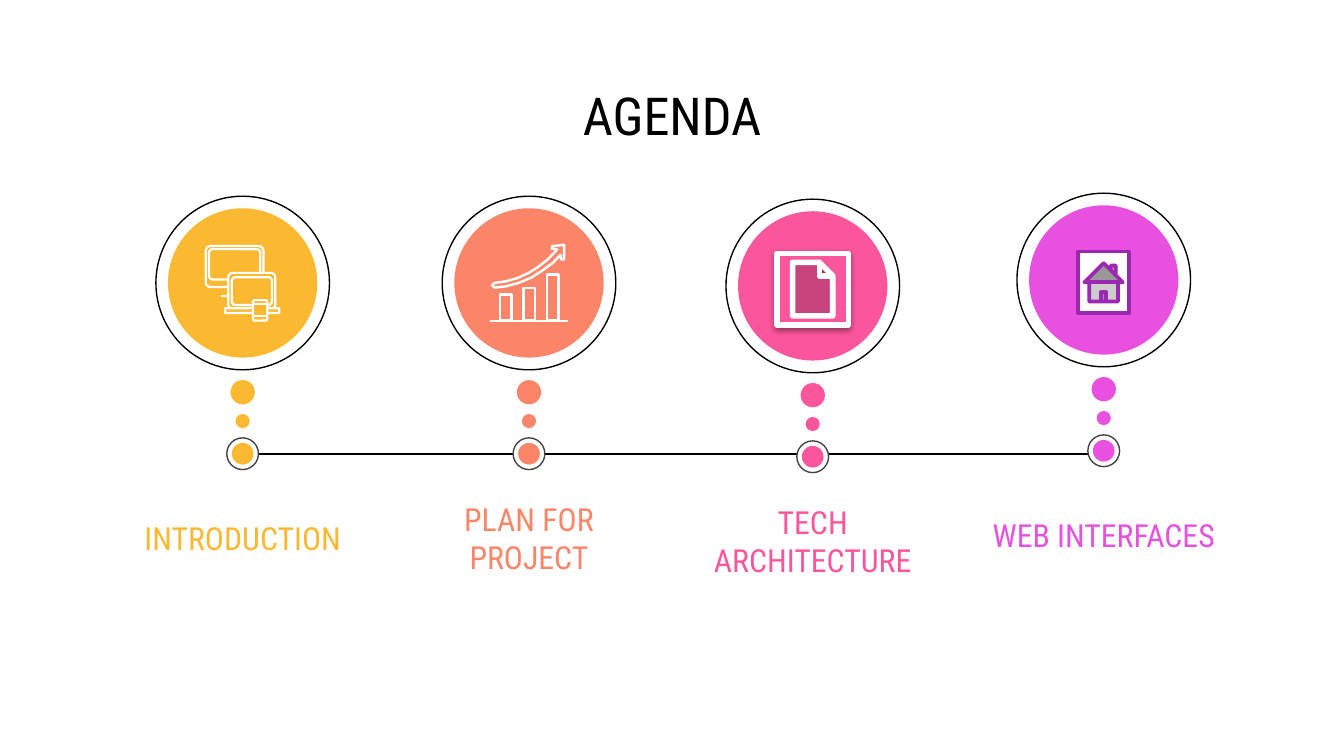
"""Build an agenda slide with four milestones along a timeline."""
from dataclasses import dataclass
from typing import Optional

from lxml.etree import SubElement
from pptx import Presentation
from pptx.dml.color import RGBColor
from pptx.enum.shapes import MSO_CONNECTOR, MSO_SHAPE
from pptx.enum.text import MSO_ANCHOR, MSO_AUTO_SIZE, PP_ALIGN
from pptx.oxml.ns import qn
from pptx.util import Pt

FONT = "Roboto Condensed"
BLACK, WHITE, GRAY = "000000", "FFFFFF", "434343"
YELLOW, CORAL, PINK, MAGENTA, PURPLE = "FBB831", "FB8569", "FB569C", "E850E0", "9C27B0"


@dataclass(frozen=True)
class Milestone:
    label: str
    color: str
    center_x: float
    center_y: float


@dataclass(frozen=True)
class Circle:
    offset_y: float
    diameter: float
    fill: Optional[str] = None
    line: Optional[str] = None
    colored: bool = True


@dataclass(frozen=True)
class Box:
    left: float
    top: float
    width: float
    height: float


MILESTONES = [
    Milestone("INTRODUCTION", YELLOW, 130, 151.6),
    Milestone("PLAN FOR PROJECT", CORAL, 283.4, 151.6),
    Milestone("TECH ARCHITECTURE", PINK, 435.4, 153.2),
    Milestone("WEB INTERFACES", MAGENTA, 591.3, 150),
]
CIRCLES = [
    Circle(0, 93, line=BLACK, colored=False),
    Circle(0, 80),
    Circle(58.5, 13),
    Circle(74, 7.6),
    Circle(91.5, 17, fill=WHITE, line=GRAY, colored=False),
    Circle(91.5, 11.6),
]
DEVICE_PARTS = [
    Box(110.2, 131.8, 31, 22),
    Box(112, 133.5, 27.5, 16.2),
    Box(122.3, 146.2, 25.2, 19.4),
    Box(124.2, 148.6, 21.5, 14.8),
    Box(120.6, 165.2, 29, 2.5),
    Box(135.6, 160.8, 7.6, 11),
]
BARS = [Box(267.8, 157.8, 6.2, 14), Box(280.4, 154.3, 6.2, 17.5), Box(293, 147, 6.2, 24.8)]
GROWTH_ARROW = [
    (265, 151.6), (271, 150.8), (277.2, 149), (283, 146.4), (288, 143.3), (293.5, 139),
    (298.5, 133.7), (295.6, 133.2), (295.9, 131.9), (302.2, 131.2), (302.2, 139),
    (300.6, 139), (300.3, 136.6), (296, 141), (290.9, 144.7), (285, 148.6),
    (277.9, 151.6), (271, 153.5), (265, 154.1), (263.5, 152.9),
]


def rgb(color: str) -> RGBColor:
    """Convert a hex string to a colour."""
    return RGBColor.from_string(color)


def style_shape(shape, fill: Optional[str], line: Optional[str], width: float) -> None:
    """Set fill and line, and remove the shadow."""
    shape.shadow.inherit = False
    if fill:
        shape.fill.solid()
        shape.fill.fore_color.rgb = rgb(fill)
    else:
        shape.fill.background()
    if line:
        shape.line.color.rgb = rgb(line)
        shape.line.width = Pt(width)
    else:
        shape.line.fill.background()


def add_shape(slide, kind: MSO_SHAPE, box: Box, fill: Optional[str] = None,
              line: Optional[str] = None, width: float = 0.75):
    """Add a styled preset shape."""
    shape = slide.shapes.add_shape(kind, Pt(box.left), Pt(box.top), Pt(box.width), Pt(box.height))
    style_shape(shape, fill, line, width)
    return shape


def add_line(slide, start_x: float, end_x: float, y: float, color: str, width: float) -> None:
    """Add a horizontal line."""
    connector = slide.shapes.add_connector(
        MSO_CONNECTOR.STRAIGHT, Pt(start_x), Pt(y), Pt(end_x), Pt(y))
    connector.line.color.rgb = rgb(color)
    connector.line.width = Pt(width)
    SubElement(connector._element.spPr, qn("a:effectLst"))


def format_text(shape, text: str, size: float, color: str) -> None:
    """Set centred text in one size and colour."""
    frame = shape.text_frame
    frame.text = text
    frame.word_wrap = True
    frame.auto_size = MSO_AUTO_SIZE.NONE
    frame.vertical_anchor = MSO_ANCHOR.MIDDLE
    frame.margin_left = frame.margin_right = Pt(7.2)
    frame.margin_top = frame.margin_bottom = Pt(7.2)
    paragraph = frame.paragraphs[0]
    paragraph.alignment = PP_ALIGN.CENTER
    font = paragraph.runs[0].font
    font.name, font.size, font.color.rgb = FONT, Pt(size), rgb(color)


def add_milestone(slide, milestone: Milestone) -> None:
    """Draw the circles and the label of a milestone."""
    for circle in CIRCLES:
        radius = circle.diameter / 2
        box = Box(milestone.center_x - radius, milestone.center_y + circle.offset_y - radius,
                  circle.diameter, circle.diameter)
        fill = milestone.color if circle.colored else circle.fill
        add_shape(slide, MSO_SHAPE.OVAL, box, fill, circle.line)
    label = slide.shapes.add_textbox(
        Pt(milestone.center_x - 74), Pt(milestone.center_y + 119.7), Pt(148), Pt(34))
    format_text(label, milestone.label, 17, milestone.color)


def add_devices_icon(slide) -> None:
    """Draw a monitor, a laptop and a phone."""
    add_line(slide, 113, 121, 153.8, WHITE, 1.3)
    add_line(slide, 118.5, 123, 158.5, WHITE, 1.3)
    for part in DEVICE_PARTS:
        shape = add_shape(slide, MSO_SHAPE.ROUNDED_RECTANGLE, part, YELLOW, WHITE, 1.2)
        shape.adjustments[0] = 0.12
    for y in (163, 169.2):
        add_line(slide, 136, 142.8, y, WHITE, 1.1)


def add_growth_icon(slide) -> None:
    """Draw a bar chart under a rising arrow."""
    for bar in BARS:
        add_shape(slide, MSO_SHAPE.RECTANGLE, bar, line=WHITE, width=1.3)
    add_line(slide, 262.5, 304.2, 172, WHITE, 1.3)
    points = [(Pt(x), Pt(y)) for x, y in GROWTH_ARROW]
    builder = slide.shapes.build_freeform(*points[0])
    builder.add_line_segments(points[1:], close=True)
    style_shape(builder.convert_to_shape(), None, WHITE, 1.3)


def add_document_icon(slide) -> None:
    """Draw a document button with a soft shadow."""
    shape = add_shape(slide, MSO_SHAPE.ACTION_BUTTON_DOCUMENT,
                      Box(416.3, 135.8, 38.2, 38.2), PINK, WHITE, 3)
    effects = shape._element.spPr.find(qn("a:effectLst"))
    shadow = SubElement(effects, qn("a:outerShdw"), blurRad=str(Pt(3.1)), dist=str(Pt(1.6)),
                        dir="5400000", algn="ctr", rotWithShape="0")
    color = SubElement(shadow, qn("a:srgbClr"), val=BLACK)
    SubElement(color, qn("a:alpha"), val="38000")


def main() -> None:
    """Build and save the presentation."""
    presentation = Presentation()
    presentation.slide_width, presentation.slide_height = Pt(720), Pt(405)
    slide = presentation.slides.add_slide(presentation.slide_layouts[5])
    title = slide.shapes.title
    title.left, title.top, title.width, title.height = Pt(56), Pt(42.5), Pt(608), Pt(38)
    format_text(title, "AGENDA", 28, BLACK)
    add_line(slide, MILESTONES[0].center_x, MILESTONES[-1].center_x, 243.2, BLACK, 1.5)
    for milestone in MILESTONES:
        add_milestone(slide, milestone)
    add_devices_icon(slide)
    add_growth_icon(slide)
    add_shape(slide, MSO_SHAPE.ACTION_BUTTON_HOME, Box(577.5, 134.8, 27.5, 33), WHITE, PURPLE, 2)
    add_document_icon(slide)
    presentation.save("out.pptx")


if __name__ == "__main__":
    main()
